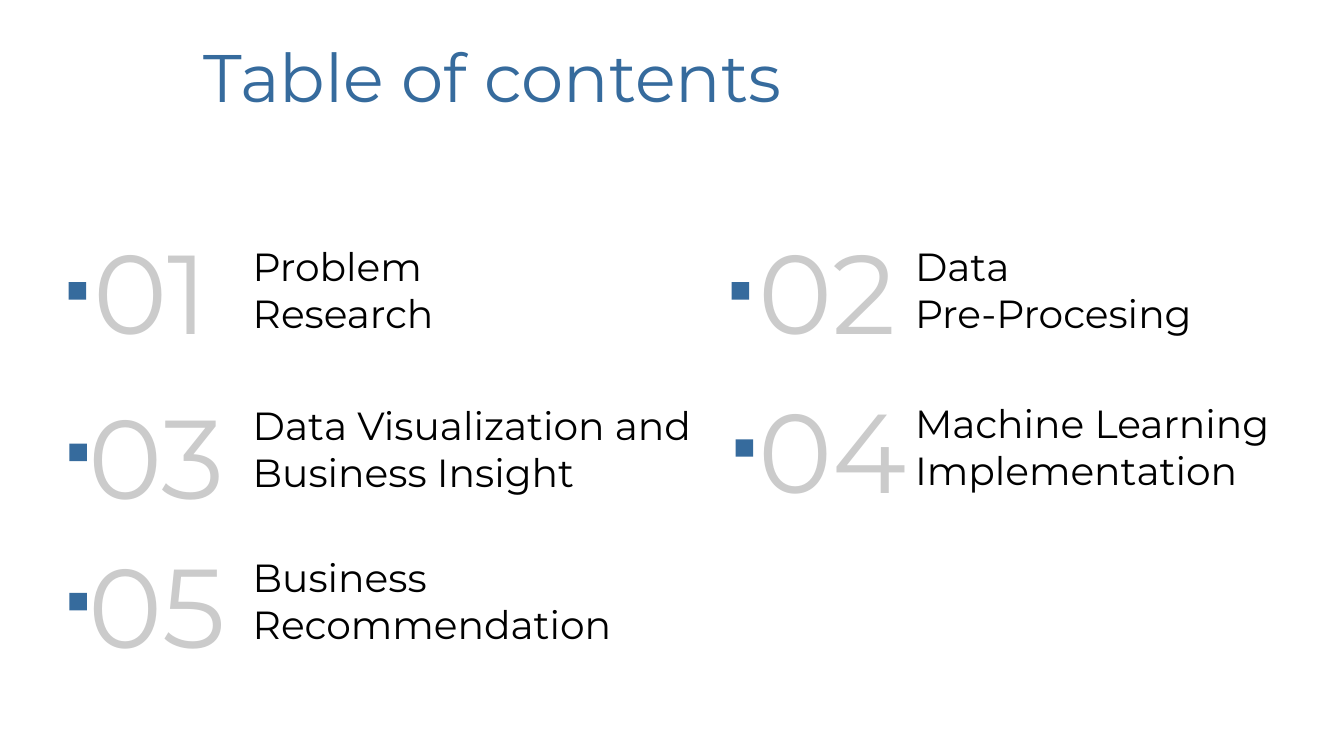
import pptx
import pptx.util
import pptx.dml.color
import pptx.enum.shapes
import pptx.enum.text

Cm = pptx.util.Cm
BLUE = pptx.dml.color.RGBColor(0x36, 0x6B, 0x9D)
GREY = pptx.dml.color.RGBColor(0xCB, 0xCB, 0xCB)
BLACK = pptx.dml.color.RGBColor(0, 0, 0)
FONT = "Montserrat"

TITLE = "Table of contents"
# fmt: off
CHAPTERS = [
    {"label": "Problem\nResearch", "width": 5.92,
     "number_at": (2.11, 5.49), "label_top": 5.99, "marker_at": (1.73, 7.11)},
    {"label": "Data\nPre-Procesing", "width": 7.49,
     "number_at": (18.87, 5.49), "label_top": 5.99, "marker_at": (18.44, 7.11)},
    {"label": "Data Visualization and Business Insight", "width": 11.79,
     "number_at": (1.98, 9.65), "label_top": 9.98, "marker_at": (1.75, 11.18)},
    {"label": "Machine Learning Implementation", "width": 12.27,
     "number_at": (18.87, 9.5), "label_top": 9.93, "marker_at": (18.54, 11.07)},
    {"label": "Business Recommendation", "width": 12.27,
     "number_at": (1.98, 13.39), "label_top": 13.82, "marker_at": (1.75, 14.94)},
]
# fmt: on
LABEL_LEFTS = (6.12, 22.81)
LABEL_HEIGHT = 2.64
NUMBER_SIZE = (12.34, 3.68)
MARKER_SIDE = 0.44


def style_text(text_frame, size, color):
    """Give every paragraph the deck font, a size and a colour."""
    text_frame.word_wrap = True
    for paragraph in text_frame.paragraphs:
        paragraph.font.name = FONT
        paragraph.font.size = pptx.util.Pt(size)
        paragraph.font.color.rgb = color


def add_text(slide, text, box, size, color):
    """Add a wrapped text box at a box given in centimetres."""
    text_frame = slide.shapes.add_textbox(*map(Cm, box)).text_frame
    text_frame.text = text
    style_text(text_frame, size, color)


def add_marker(slide, left, top):
    """Add a small blue square."""
    marker = slide.shapes.add_shape(
        pptx.enum.shapes.MSO_SHAPE.RECTANGLE,
        Cm(left), Cm(top), Cm(MARKER_SIDE), Cm(MARKER_SIDE))
    marker.shadow.inherit = False
    marker.fill.solid()
    marker.fill.fore_color.rgb = BLUE
    marker.line.fill.background()


def add_title(slide):
    """Fill and place the title, raised by a deep bottom margin."""
    title = slide.shapes.title
    title.left, title.top, title.width, title.height = map(Cm, (4.88, 0.25, 17.45, 5.41))
    text_frame = title.text_frame
    text_frame.text = TITLE
    text_frame.vertical_anchor = pptx.enum.text.MSO_ANCHOR.MIDDLE
    text_frame.margin_bottom = Cm(1.98)
    style_text(text_frame, 48, BLUE)
    paragraph = text_frame.paragraphs[0]
    paragraph.alignment = pptx.enum.text.PP_ALIGN.LEFT
    paragraph.line_spacing = 0.9


def main():
    """Build and save the table of contents slide."""
    presentation = pptx.Presentation()
    presentation.slide_width, presentation.slide_height = Cm(33.87), Cm(19.05)
    slide = presentation.slides.add_slide(presentation.slide_layouts[5])
    add_title(slide)
    for index, chapter in enumerate(CHAPTERS):
        label_box = (LABEL_LEFTS[index % 2], chapter["label_top"],
                     chapter["width"], LABEL_HEIGHT)
        add_text(slide, f"{index + 1:02d}", chapter["number_at"] + NUMBER_SIZE, 80, GREY)
        add_text(slide, chapter["label"], label_box, 28, BLACK)
        add_marker(slide, *chapter["marker_at"])
    presentation.save("out.pptx")


main()
